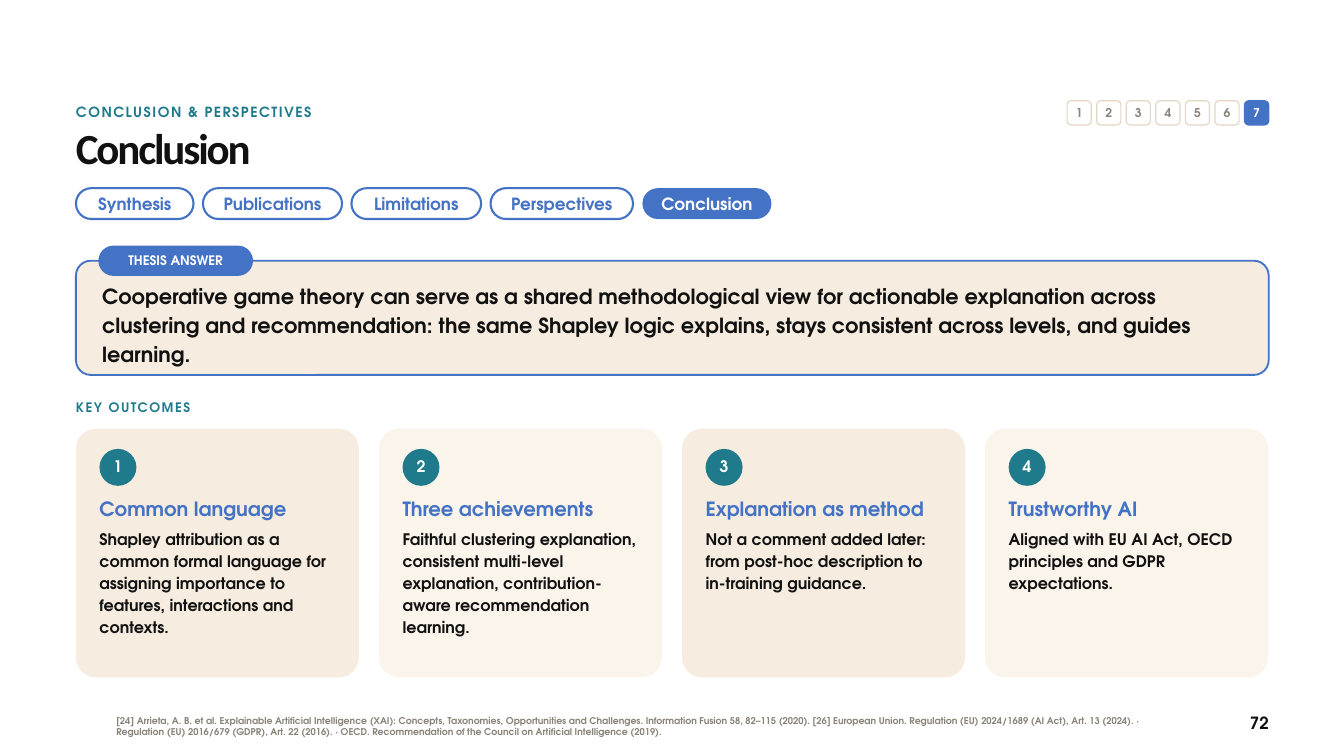
import pptx
import pptx.dml.color
import pptx.enum.shapes
import pptx.enum.text
import pptx.util
from pptx.util import Inches

COLORS = {
    "ink": "111111",
    "blue": "4472C4",
    "teal": "1F7A8C",
    "grey": "8A8378",
    "tan": "E3D6C4",
    "sand": "F6ECDF",
    "cream": "FBF4EB",
    "white": "FFFFFF",
}
BODY_FONT = "TeX Gyre Adventor"
TITLE_FONT = "Calibri"
LEFT = 1.13
WIDTH = 17.75

ALIGN = pptx.enum.text.PP_ALIGN
ANCHOR = pptx.enum.text.MSO_ANCHOR
SHAPE = pptx.enum.shapes.MSO_SHAPE

SECTION_COUNT = 7
TABS = [
    ("Synthesis", 1.75),
    ("Publications", 2.07),
    ("Limitations", 1.93),
    ("Perspectives", 2.12),
    ("Conclusion", 1.92),
]
ANSWER = (
    "Cooperative game theory can serve as a shared methodological view for "
    "actionable explanation across clustering and recommendation: the same "
    "Shapley logic explains, stays consistent across levels, and guides learning."
)
OUTCOMES = [
    ("Common language",
     "Shapley attribution as a common formal language for assigning importance "
     "to features, interactions and contexts."),
    ("Three achievements",
     "Faithful clustering explanation, consistent multi-level explanation, "
     "contribution-aware recommendation learning."),
    ("Explanation as method",
     "Not a comment added later: from post-hoc description to in-training guidance."),
    ("Trustworthy AI",
     "Aligned with EU AI Act, OECD principles and GDPR expectations."),
]
REFERENCES = (
    "[24] Arrieta, A. B. et al. Explainable Artificial Intelligence (XAI): Concepts, "
    "Taxonomies, Opportunities and Challenges. Information Fusion 58, 82–115 (2020). "
    "[26] European Union. Regulation (EU) 2024/1689 (AI Act), Art. 13 (2024). · "
    "Regulation (EU) 2016/679 (GDPR), Art. 22 (2016). · "
    "OECD. Recommendation of the Council on Artificial Intelligence (2019)."
)


def rgb(name):
    return pptx.dml.color.RGBColor.from_string(COLORS[name])


def format_paragraph(para, size, color, leading, align=ALIGN.LEFT,
                     font=BODY_FONT, tracking=0):
    """Style a one-run paragraph; leading and tracking are in points."""
    para.alignment = align
    para.line_spacing = pptx.util.Pt(leading)
    span = para.runs[0]
    span.font.name = font
    span.font.size = pptx.util.Pt(size)
    span.font.bold = True
    span.font.color.rgb = rgb(color)
    if tracking:
        span.font._element.set("spc", str(round(tracking * 100)))


def prepare_frame(shape, anchor, side_margin=0):
    frame = shape.text_frame
    frame.word_wrap = True
    frame.vertical_anchor = anchor
    frame.margin_left = frame.margin_right = Inches(side_margin)
    frame.margin_top = frame.margin_bottom = 0
    return frame


def add_text(page, left, top, width, height, text, size, color, leading,
             anchor=ANCHOR.TOP, **style):
    box = page.shapes.add_textbox(
        Inches(left), Inches(top), Inches(width), Inches(height))
    frame = prepare_frame(box, anchor)
    frame.text = text
    format_paragraph(frame.paragraphs[0], size, color, leading, **style)
    return frame


def add_panel(page, left, top, width, height, fill=None, line=None,
              line_width=2.25, corner=None, kind=SHAPE.ROUNDED_RECTANGLE):
    """Add a flat shape; corner is the rounding as a share of the short side."""
    shape = page.shapes.add_shape(
        kind, Inches(left), Inches(top), Inches(width), Inches(height))
    shape.shadow.inherit = False
    if corner is not None:
        shape.adjustments[0] = corner
    if fill:
        shape.fill.solid()
        shape.fill.fore_color.rgb = rgb(fill)
    else:
        shape.fill.background()
    if line:
        shape.line.color.rgb = rgb(line)
        shape.line.width = pptx.util.Pt(line_width)
    else:
        shape.line.fill.background()
    return shape


def add_label(shape, text, size, color, leading, side_margin=0):
    """Centre a short text inside a shape."""
    frame = prepare_frame(shape, ANCHOR.MIDDLE, side_margin)
    frame.text = text
    format_paragraph(frame.paragraphs[0], size, color, leading, ALIGN.CENTER)


def add_section_tracker(page, current):
    for number in range(1, SECTION_COUNT + 1):
        active = number == current
        square = add_panel(
            page, 15.88 + 0.44 * (number - 1), 1.5, 0.36, 0.36,
            fill="blue" if active else "white",
            line="blue" if active else "tan", line_width=1.25, corner=0.17)
        add_label(square, str(number), 13, "white" if active else "grey", 15)


def add_tabs(page, current):
    left = LEFT
    for name, width in TABS:
        active = name == current
        pill = add_panel(
            page, left, 2.8, width, 0.46, fill="blue" if active else None,
            line=None if active else "blue", corner=0.5)
        add_label(pill, name, 18, "white" if active else "blue", 21.6, 0.05)
        left += width + 0.14


def add_answer(page):
    add_panel(page, LEFT, 3.88, WIDTH, 1.7, fill="sand", line="blue",
              line_width=2, corner=0.13)
    tag = add_panel(page, 1.48, 3.67, 2.27, 0.42, fill="blue", line="blue",
                    corner=0.5)
    add_label(tag, "THESIS ANSWER", 14, "white", 16.8, 0.05)
    add_text(page, 1.52, 4.18, 16.95, 1.25, ANSWER, 22.3, "ink", 31.2,
             anchor=ANCHOR.MIDDLE)


def add_outcome(page, index, heading, detail):
    left = LEFT + 4.51 * index
    inner_left = left + 0.35
    add_panel(page, left, 6.38, 4.21, 3.7, corner=0.08,
              fill="cream" if index % 2 else "sand")
    badge = add_panel(page, inner_left, 6.68, 0.55, 0.55, fill="teal",
                      kind=SHAPE.OVAL)
    add_label(badge, str(index + 1), 17, "white", 18.7)
    frame = add_text(page, inner_left, 7.38, 3.51, 2.55, heading, 21, "blue", 26.2)
    para = frame.add_paragraph()
    para.text = detail
    para.space_before = pptx.util.Pt(6)
    format_paragraph(para, 17, "ink", 23.8)


def main():
    deck = pptx.Presentation()
    deck.slide_width = Inches(20)
    deck.slide_height = Inches(11.25)
    page = deck.slides.add_slide(deck.slide_layouts[6])

    add_text(page, 1.73, 10.5, 15.85, 0.62, REFERENCES, 10, "grey", 12,
             anchor=ANCHOR.MIDDLE)
    add_text(page, 17.68, 10.6, 1.2, 0.36, "72", 18, "ink", 22, align=ALIGN.RIGHT)
    add_text(page, LEFT, 1.52, 14.15, 0.36, "CONCLUSION & PERSPECTIVES",
             15, "teal", 20, tracking=1.6)
    add_section_tracker(page, 7)
    add_text(page, LEFT, 1.88, WIDTH, 0.8, "Conclusion", 46, "ink", 50.6,
             font=TITLE_FONT, tracking=-2.3)
    add_tabs(page, "Conclusion")
    add_answer(page)
    add_text(page, LEFT, 5.93, WIDTH, 0.35, "KEY OUTCOMES", 14, "teal", 18,
             tracking=1.6)
    for index, (heading, detail) in enumerate(OUTCOMES):
        add_outcome(page, index, heading, detail)

    deck.save("out.pptx")


if __name__ == "__main__":
    main()
